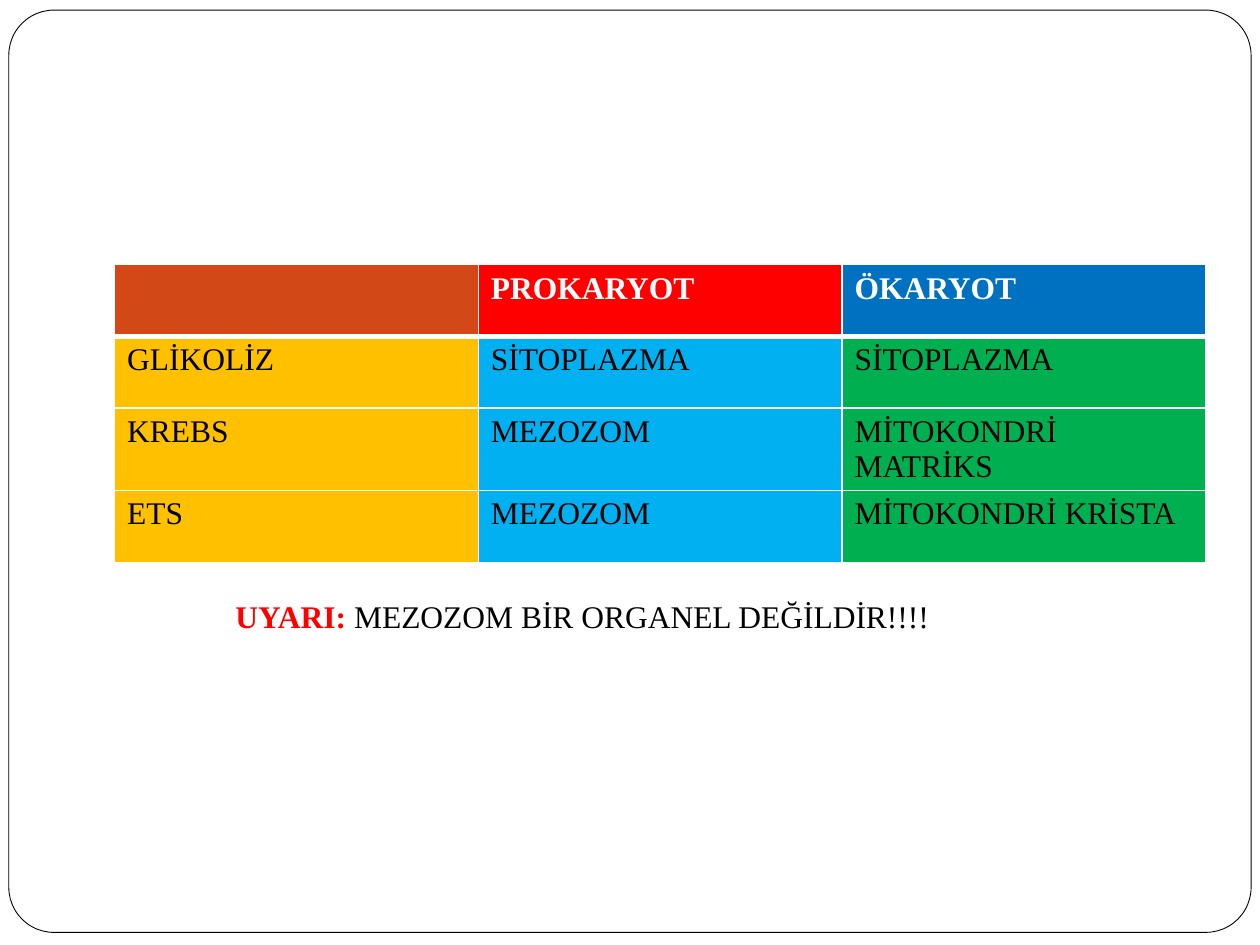
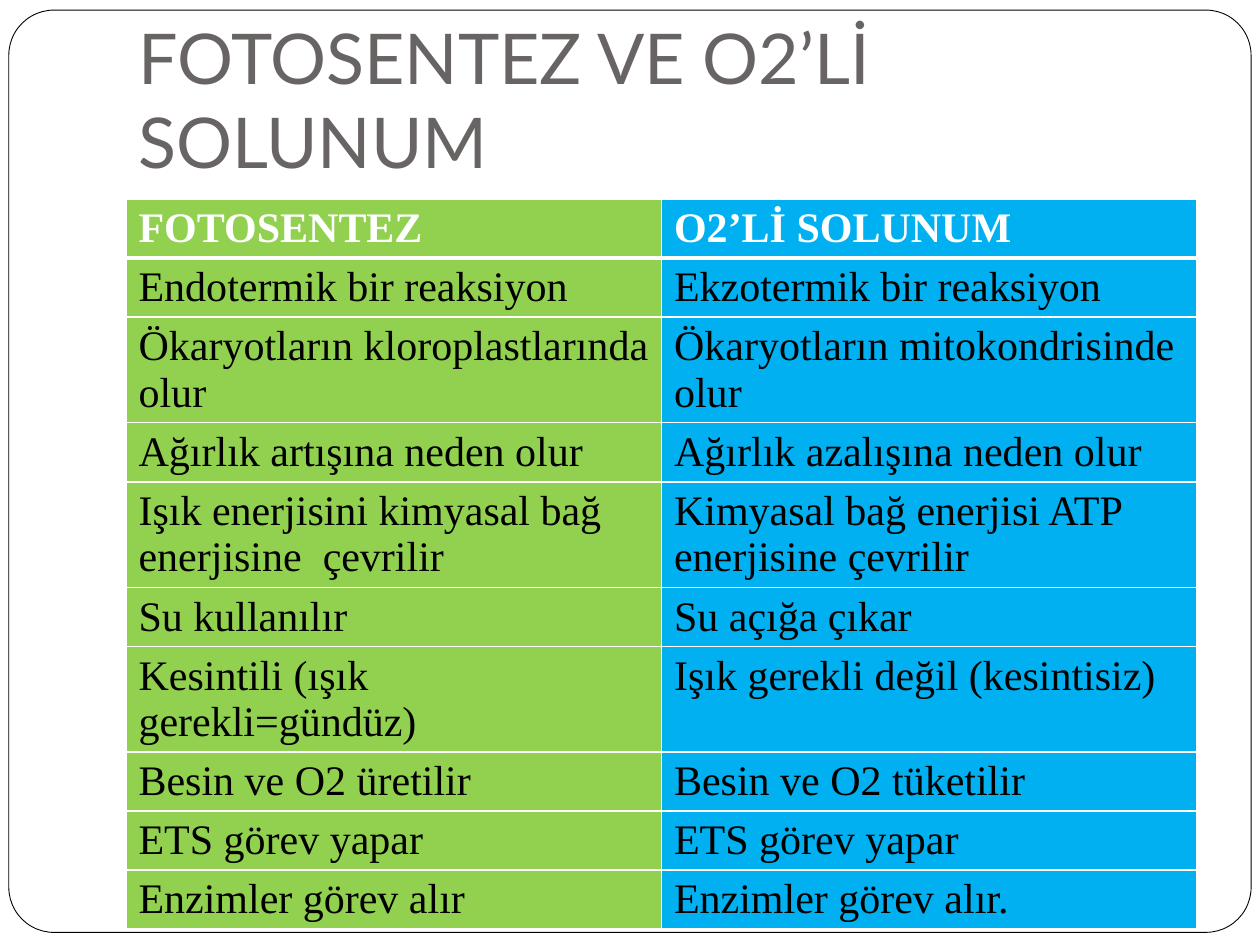
from dataclasses import dataclass

from lxml import etree
from pptx import Presentation
from pptx.dml.color import RGBColor
from pptx.enum.shapes import MSO_SHAPE
from pptx.enum.text import MSO_ANCHOR, MSO_AUTO_SIZE, PP_ALIGN
from pptx.oxml.ns import qn
from pptx.util import Inches, Pt

ROUND = MSO_SHAPE.ROUNDED_RECTANGLE
BOTTOM = MSO_ANCHOR.BOTTOM
NO_FIT = MSO_AUTO_SIZE.NONE
GROW = MSO_AUTO_SIZE.SHAPE_TO_FIT_TEXT
LEFT = PP_ALIGN.LEFT
TITLE_ONLY, BLANK = 5, 6


@dataclass(frozen=True)
class Theme:
    # Colours
    white: str = "FFFFFF"
    black: str = "000000"
    gray: str = "696464"
    rust: str = "D34817"
    red: str = "FF0000"
    blue: str = "0070C0"
    gold: str = "FFC000"
    sky: str = "00B0F0"
    green: str = "00B050"
    lime: str = "92D050"
    # Fonts and sizes in points
    head: str = "Lato"
    body: str = "Times New Roman"
    title: int = 40
    large: int = 24
    small: int = 18
    # Line widths in points
    edge: float = 0.5
    thin: int = 1
    thick: int = 3


def color(code):
    return RGBColor.from_string(code)


def write(para, text, *, font, size, ink, bold=False):
    """Add a formatted run to a paragraph."""
    run = para.add_run()
    run.text = text
    run.font.name = font
    run.font.size = Pt(size)
    run.font.bold = bold
    run.font.color.rgb = color(ink)


def border(cell, code, top, bottom):
    """Draw the four sides of a cell."""
    props = cell._tc.get_or_add_tcPr()
    sides = {"L": Theme.thin, "R": Theme.thin, "T": top, "B": bottom}
    for side, width in sides.items():
        line = etree.SubElement(props, qn(f"a:ln{side}"), w=str(Pt(width)))
        fill = etree.SubElement(line, qn("a:solidFill"))
        etree.SubElement(fill, qn("a:srgbClr"), val=code)


class Deck:
    def __init__(self, theme):
        self.theme = theme
        self.prs = Presentation()
        self.prs.slide_width = Inches(10)
        self.prs.slide_height = Inches(7.5)
        self.slide = None

    def start(self, layout):
        self.slide = self.prs.slides.add_slide(self.prs.slide_layouts[layout])
        self.frame()

    def frame(self):
        """Rounded page frame, placed behind everything else."""
        t = self.theme
        shape = self.slide.shapes.add_shape(
            ROUND, Inches(0.07), Inches(0.08), Inches(9.86), Inches(7.32))
        shape.adjustments[0] = 0.049
        shape.shadow.inherit = False
        shape.fill.solid()
        shape.fill.fore_color.rgb = color(t.white)
        shape.line.color.rgb = color(t.black)
        shape.line.width = Pt(t.edge)
        item = shape._element
        item.getparent().insert(2, item)

    def title(self, text):
        t = self.theme
        box = self.slide.shapes.title
        box.left, box.top = Inches(1), Inches(0.3)
        box.width, box.height = Inches(8.5), Inches(1.25)
        body = box.text_frame
        body.auto_size = NO_FIT
        body.word_wrap = True
        body.vertical_anchor = BOTTOM
        body.margin_left = body.margin_right = Inches(0.1)
        body.margin_top, body.margin_bottom = Inches(0.05), Inches(0.1)
        para = body.paragraphs[0]
        para.alignment = LEFT
        write(para, text, font=t.head, size=t.title, ink=t.gray)

    def note(self, left, top, width, height, lead, text):
        """A line of text that opens with a bold red word."""
        t = self.theme
        box = self.slide.shapes.add_textbox(
            Inches(left), Inches(top), Inches(width), Inches(height))
        body = box.text_frame
        body.word_wrap = True
        body.auto_size = GROW
        para = body.paragraphs[0]
        write(para, lead, font=t.body, size=t.small, ink=t.red, bold=True)
        write(para, text, font=t.body, size=t.small, ink=t.black)

    def table(self, left, top, width, high, rows, heads, fills, size):
        """Table whose heads and columns each have their own fill."""
        t = self.theme
        count = len(fills)
        grid = self.slide.shapes.add_table(
            len(rows), count, Inches(left), Inches(top),
            Inches(width), Inches(high * len(rows))).table
        grid.first_row = grid.horz_banding = False
        for col in grid.columns:
            col.width = Inches(width / count)
        for r, row in enumerate(rows):
            grid.rows[r].height = Inches(high)
            first = r == 0
            for c, text in enumerate(row):
                cell = grid.cell(r, c)
                border(cell, t.white,
                       top=t.thick if r == 1 else t.thin,
                       bottom=t.thick if first else t.thin)
                cell.fill.solid()
                cell.fill.fore_color.rgb = color((heads if first else fills)[c])
                if text:
                    write(cell.text_frame.paragraphs[0], text, font=t.body,
                          size=size, ink=t.white if first else t.black,
                          bold=first)


# Where each stage takes place
STAGES = [
    ("", "PROKARYOT", "ÖKARYOT"),
    ("GLİKOLİZ", "SİTOPLAZMA", "SİTOPLAZMA"),
    ("KREBS", "MEZOZOM", "MİTOKONDRİ MATRİKS"),
    ("ETS", "MEZOZOM", "MİTOKONDRİ KRİSTA"),
]

# The two processes side by side
PAIRS = [
    ("FOTOSENTEZ", "O2’Lİ SOLUNUM"),
    ("Endotermik bir reaksiyon", "Ekzotermik bir reaksiyon"),
    ("Ökaryotların kloroplastlarında olur",
     "Ökaryotların mitokondrisinde olur"),
    ("Ağırlık artışına neden olur", "Ağırlık azalışına neden olur"),
    ("Işık enerjisini kimyasal bağ enerjisine  çevrilir",
     "Kimyasal bağ enerjisi ATP enerjisine çevrilir"),
    ("Su kullanılır", "Su açığa çıkar"),
    ("Kesintili (ışık gerekli=gündüz)", "Işık gerekli değil (kesintisiz)"),
    ("Besin ve O2 üretilir", "Besin ve O2 tüketilir"),
    ("ETS görev yapar", "ETS görev yapar"),
    ("Enzimler görev alır", "Enzimler görev alır."),
]


def main():
    t = Theme()
    deck = Deck(t)

    # Slide 1: stages by cell type
    deck.start(BLANK)
    deck.table(0.91, 2.1, 8.66, 0.57, STAGES, size=t.small,
               heads=(t.rust, t.red, t.blue), fills=(t.gold, t.sky, t.green))
    deck.note(1.77, 4.69, 6.14, 0.4,
              "UYARI: ", "MEZOZOM BİR ORGANEL DEĞİLDİR!!!!")

    # Slide 2: photosynthesis and respiration
    deck.start(TITLE_ONLY)
    deck.title("FOTOSENTEZ VE O2’Lİ SOLUNUM")
    tints = (t.lime, t.sky)
    deck.table(1, 1.58, 8.5, 0.41, PAIRS, size=t.large,
               heads=tints, fills=tints)

    deck.prs.save("out.pptx")


if __name__ == "__main__":
    main()
